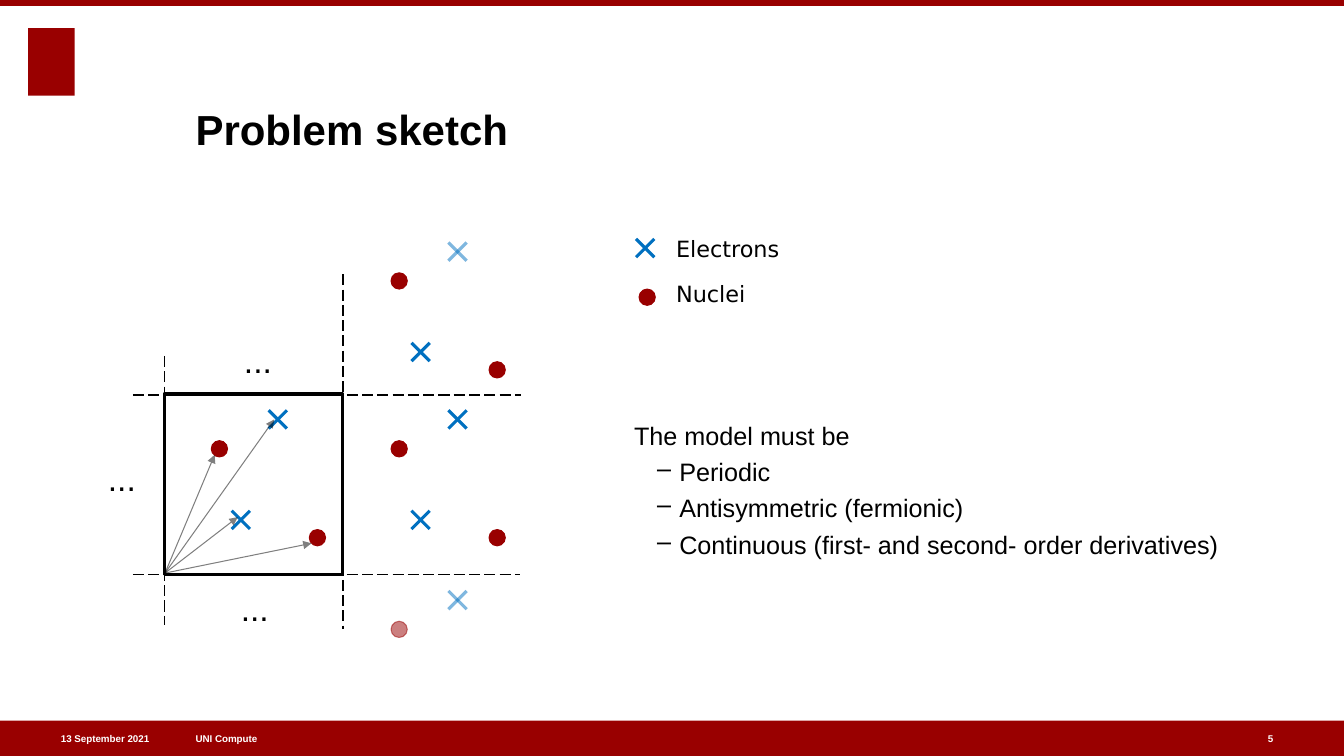
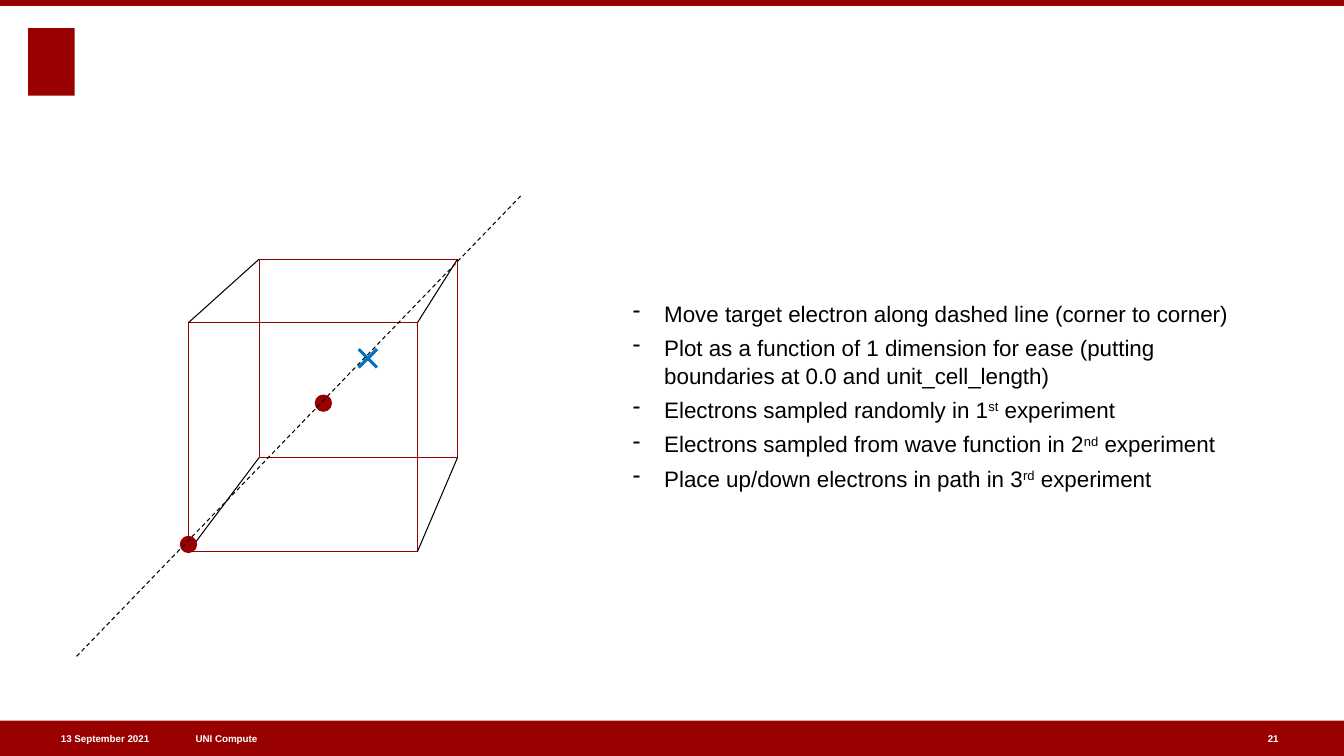
from pptx import Presentation
from pptx.dml.color import RGBColor
from pptx.enum.dml import MSO_LINE
from pptx.enum.shapes import MSO_CONNECTOR, MSO_SHAPE
from pptx.enum.text import MSO_ANCHOR, PP_ALIGN
from pptx.oxml.ns import qn
from pptx.util import Cm, Pt
from lxml import etree

COLORS = {"red": "990000", "blue": "0070C0", "black": "000000", "white": "FFFFFF"}
FONT = "Arial"
LEGEND_FONT = "DejaVu Sans"
STRAIGHT = MSO_CONNECTOR.STRAIGHT
RECTANGLE, OVAL = MSO_SHAPE.RECTANGLE, MSO_SHAPE.OVAL
DASH, LONG_DASH = MSO_LINE.DASH, MSO_LINE.LONG_DASH
TOP, MIDDLE, BOTTOM = MSO_ANCHOR.TOP, MSO_ANCHOR.MIDDLE, MSO_ANCHOR.BOTTOM
RIGHT = PP_ALIGN.RIGHT
PAGE_WIDTH, PAGE_HEIGHT = 33.87, 19.05
FOOTER_TOP, FOOTER_HEIGHT = 18.16, 0.89
DOT_SIZE, CROSS_SIZE = 0.41, 0.46


def add_line(page, start, end, color="black", width=0.75, dash=None):
    line = page.shapes.add_connector(STRAIGHT, *[Cm(value) for value in (*start, *end)])
    line.line.color.rgb = RGBColor.from_string(COLORS[color])
    line.line.width = Pt(width)
    if dash:
        line.line.dash_style = dash
    etree.SubElement(line._element.spPr, qn("a:effectLst"))
    return line


def add_text(page, area, lines, size, color="black", bold=False, font=FONT, anchor=TOP):
    """Add a text box; words between ^ signs are raised."""
    box = page.shapes.add_textbox(*[Cm(value) for value in area])
    frame = box.text_frame
    frame.word_wrap = True
    frame.vertical_anchor = anchor
    frame.margin_left = frame.margin_right = frame.margin_top = frame.margin_bottom = 0
    for index, text in enumerate(lines):
        para = frame.paragraphs[0] if index == 0 else frame.add_paragraph()
        para.space_before = Pt(4.3 if index else 0)
        for part, words in enumerate(text.split("^")):
            span = para.add_run()
            span.text = words
            span.font.size = Pt(size)
            span.font.name = font
            span.font.bold = bold
            span.font.color.rgb = RGBColor.from_string(COLORS[color])
            if part % 2:
                span.font._element.set("baseline", "30000")
    return box


deck = Presentation()
deck.slide_width, deck.slide_height = Cm(PAGE_WIDTH), Cm(PAGE_HEIGHT)
blank = deck.slide_layouts[6]
sketch_page, path_page = pages = [deck.slides.add_slide(blank) for _ in range(2)]

# Shared bands, emblem block and footer
for page, number in zip(pages, ("5", "21")):
    for area in ((0, 0, PAGE_WIDTH, 0.15),
                 (0, FOOTER_TOP, PAGE_WIDTH, FOOTER_HEIGHT),
                 (0.71, 0.71, 1.17, 1.7)):
        block = page.shapes.add_shape(RECTANGLE, *[Cm(value) for value in area])
        block.shadow.inherit = False
        block.fill.solid()
        block.fill.fore_color.rgb = RGBColor.from_string(COLORS["red"])
        block.line.fill.background()
    for left, width, text in ((0.69, 3.07, "13 September 2021"),
                              (4.93, 9.45, "UNI Compute"),
                              (31.95, 1.19, number)):
        box = add_text(page, (left, FOOTER_TOP, width, FOOTER_HEIGHT), [text], 7,
                       "white", True, anchor=MIDDLE)
        if left < 1:
            box.text_frame.paragraphs[0].alignment = RIGHT

# Outlines: unit cell, front and rear face of the cube
cell_left, cell_top, cell_width, cell_height = cell = (4.14, 9.93, 4.5, 4.55)
cell_right, cell_bottom = cell_left + cell_width, cell_top + cell_height
front, rear = (4.75, 8.13, 5.77), (6.53, 6.53, 5.0)
for page, area, color, width in ((sketch_page, cell, "black", 2.25),
                                 (path_page, (*front, front[2]), "red", 0.75),
                                 (path_page, (*rear, rear[2]), "red", 0.75)):
    outline = page.shapes.add_shape(RECTANGLE, *[Cm(value) for value in area])
    outline.shadow.inherit = False
    outline.fill.background()
    outline.line.color.rgb = RGBColor.from_string(COLORS[color])
    outline.line.width = Pt(width)

# Cell borders carried on, and the cube's depth edges
for start, end in (((cell_right, 6.91), (cell_right, 15.85)),
                   ((3.35, cell_bottom), (13.11, cell_bottom)),
                   ((cell_left, 8.97), (cell_left, 15.75)),
                   ((3.35, cell_top + 0.02), (13.13, cell_top + 0.02))):
    add_line(sketch_page, start, end, width=1, dash=LONG_DASH)
for across in (0, 1):
    for down in (0, 1):
        add_line(path_page, *[(left + across * side, top + down * side)
                              for left, top, side in (front, rear)])

# Particles: page, kind, centre, faded
particles = [
    (sketch_page, "electron", 16.26, 6.25, False),
    (sketch_page, "nucleus", 16.31, 7.49, False),
    (path_page, "nucleus", 8.15, 10.16, False),
    (path_page, "nucleus", 4.75, 13.72, False),
    (path_page, "electron", 9.27, 9.03, False),
]
cell_particles = [("nucleus", 5.53, 11.31), ("nucleus", 8.0, 13.55),
                  ("electron", 6.07, 13.1), ("electron", 7.0, 10.57)]
# Periodic copies: shift, then S solid, F faded or - absent for each particle
for shift_x, shift_y, states in ((0, 0, "SSSS"), (4.53, 0, "SSSS"),
                                 (4.53, -4.23, "SSSF"), (4.53, 4.55, "F--F")):
    for (kind, x, y), state in zip(cell_particles, states):
        if state != "-":
            particles.append((sketch_page, kind, x + shift_x, y + shift_y, state == "F"))

translucent = []
for page, kind, x, y, faded in particles:
    if kind == "nucleus":
        half = DOT_SIZE / 2
        dot = page.shapes.add_shape(OVAL, Cm(x - half), Cm(y - half), Cm(DOT_SIZE), Cm(DOT_SIZE))
        dot.shadow.inherit = False
        dot.fill.solid()
        dot.fill.fore_color.rgb = RGBColor.from_string(COLORS["red"])
        dot.line.color.rgb = RGBColor.from_string(COLORS["red"])
        dot.line.width = Pt(0.75)
        marks = [dot]
    else:
        half = CROSS_SIZE / 2
        marks = [add_line(page, (x - half, y - slope), (x + half, y + slope), "blue", 2.25)
                 for slope in (half, -half)]
    if faded:
        translucent += marks

# Position vectors from the cell corner
for tip in ((5.41, 11.46), (5.99, 13.03), (7.85, 13.69), (6.91, 10.57)):
    arrow = add_line(sketch_page, (cell_left + 0.02, cell_bottom - 0.04), tip)
    etree.SubElement(arrow.line._get_or_add_ln(), qn("a:tailEnd"), type="triangle")
    translucent.append(arrow)

for shape in translucent:
    for tint in shape._element.spPr.iter(qn("a:srgbClr")):
        etree.SubElement(tint, qn("a:alpha"), val="50000")

# Path of the target electron
add_line(path_page, (1.93, 16.54), (13.13, 4.93), dash=DASH)

# Title, ellipses and legend
add_text(sketch_page, (4.93, 1.19, 25.86, 2.69), ["Problem sketch"], 30, bold=True, anchor=BOTTOM)
for left, top in ((6.15, 8.56), (2.72, 11.53), (6.07, 14.81)):
    add_text(sketch_page, (left, top, 1.4, 1.02), ["..."], 24)
for top, name in ((5.92, "Electrons"), (7.06, "Nuclei")):
    add_text(sketch_page, (17.04, top, 15.5, 0.69), [name], 16, font=LEGEND_FONT)

# Bulleted lists
model = add_text(sketch_page, (15.98, 10.59, 17.8, 4.98), [
    "The model must be",
    "Periodic",
    "Antisymmetric (fermionic)",
    "Continuous (first- and second- order derivatives)",
], 18)
steps = add_text(path_page, (15.95, 7.52, 15.6, 4.67), [
    "Move target electron along dashed line (corner to corner)",
    "Plot as a function of 1 dimension for ease (putting boundaries at 0.0 and unit_cell_length)",
    "Electrons sampled randomly in 1^st^ experiment",
    "Electrons sampled from wave function in 2^nd^ experiment",
    "Place up/down electrons in path in 3^rd^ experiment",
], 16)
for para in steps.text_frame.paragraphs:
    para.line_spacing = 1.05
for paras, bullet, margin, hang in ((model.text_frame.paragraphs[1:], "–", 1.14, 0.56),
                                    (steps.text_frame.paragraphs, "-", 0.79, 0.79)):
    for para in paras:
        properties = para._p.get_or_add_pPr()
        properties.set("marL", str(Cm(margin)))
        properties.set("indent", str(-Cm(hang)))
        etree.SubElement(properties, qn("a:buChar"), char=bullet)

deck.save("out.pptx")
